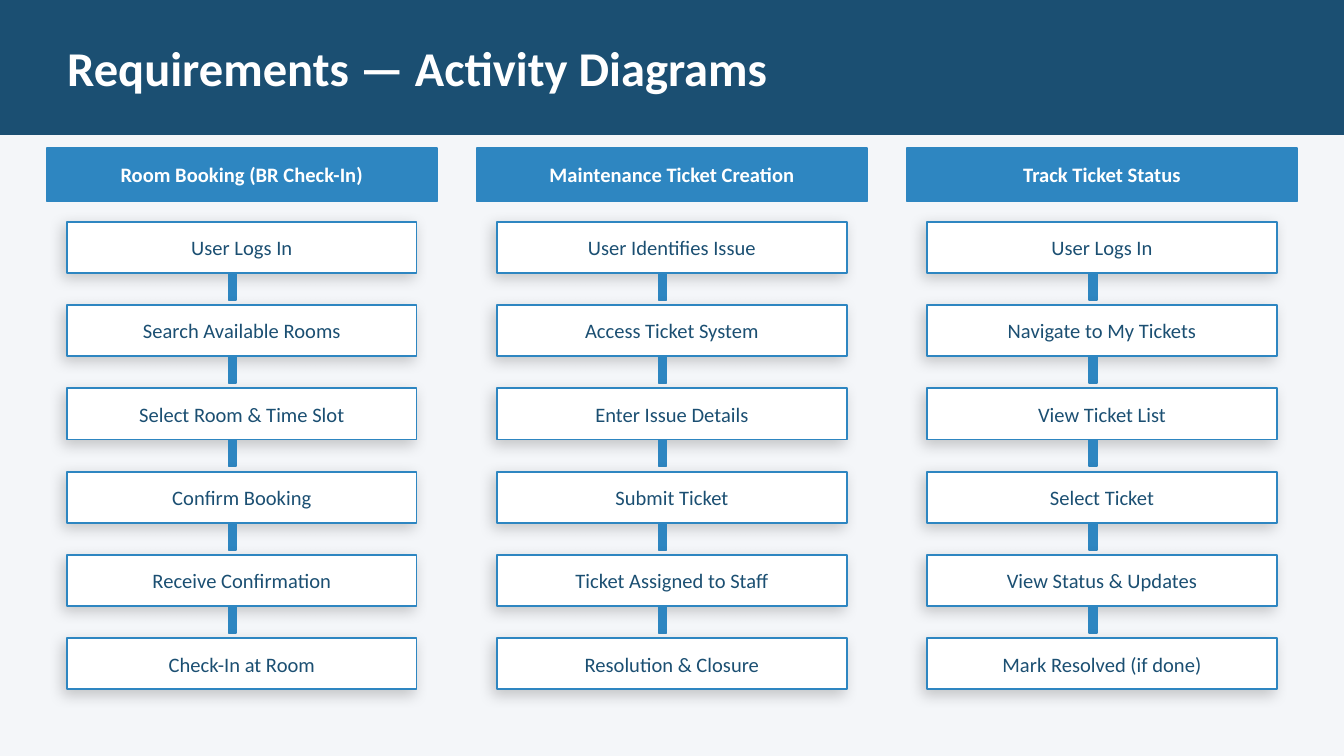
from lxml.etree import SubElement
from pptx import Presentation
from pptx.dml.color import RGBColor
from pptx.enum.shapes import MSO_SHAPE
from pptx.enum.text import MSO_ANCHOR, MSO_AUTO_SIZE, PP_ALIGN
from pptx.oxml.ns import qn
from pptx.util import Pt

NAVY = RGBColor(0x1B, 0x4F, 0x72)
BLUE = RGBColor(0x2E, 0x86, 0xC1)
WHITE = RGBColor(0xFF, 0xFF, 0xFF)
PALE = RGBColor(0xF4, 0xF6, 0xF9)

ACTIVITIES = [
    ("Room Booking (BR Check-In)",
     ["User Logs In", "Search Available Rooms", "Select Room & Time Slot",
      "Confirm Booking", "Receive Confirmation", "Check-In at Room"]),
    ("Maintenance Ticket Creation",
     ["User Identifies Issue", "Access Ticket System", "Enter Issue Details",
      "Submit Ticket", "Ticket Assigned to Staff", "Resolution & Closure"]),
    ("Track Ticket Status",
     ["User Logs In", "Navigate to My Tickets", "View Ticket List",
      "Select Ticket", "View Status & Updates", "Mark Resolved (if done)"]),
]


def write_text(shape, text, size, color, bold=False, align=PP_ALIGN.CENTER):
    """Write one vertically centred line into a shape without margins."""
    frame = shape.text_frame
    frame.word_wrap = True
    frame.auto_size = MSO_AUTO_SIZE.NONE
    frame.vertical_anchor = MSO_ANCHOR.MIDDLE
    frame.margin_left = frame.margin_right = 0
    frame.margin_top = frame.margin_bottom = 0
    para = frame.paragraphs[0]
    para.alignment = align
    span = para.add_run()
    span.text = text
    span.font.name = "Calibri"
    span.font.size = Pt(size)
    span.font.bold = bold
    span.font.color.rgb = color


def add_block(page, box, fill, line):
    """Add an outlined rectangle in a box of left, top, width, height in points."""
    block = page.shapes.add_shape(MSO_SHAPE.RECTANGLE, *map(Pt, box))
    block.shadow.inherit = False
    block.fill.solid()
    block.fill.fore_color.rgb = fill
    block.line.color.rgb = line
    block.line.width = Pt(1)
    return block


def add_soft_shadow(shape):
    """Give a shape a faint black shadow towards the lower left."""
    effects = shape.element.spPr.find(qn("a:effectLst"))
    shadow = SubElement(effects, qn("a:outerShdw"), blurRad=str(Pt(8)),
                        dist=str(Pt(3)), dir=str(135 * 60000),
                        algn="bl", rotWithShape="0")
    color = SubElement(shadow, qn("a:srgbClr"), val="000000")
    SubElement(color, qn("a:alpha"), val="20000")


def add_title_band(page, box, text):
    """Place the title placeholder over a dark band filling the box."""
    left, top, width, height = box
    title = page.shapes.title
    band = add_block(page, box, NAVY, NAVY)
    title.element.addprevious(band.element)
    title.left, title.top = Pt(left + 36), Pt(top + 10.8)
    title.width, title.height = Pt(width - 72), Pt(height - 21.6)
    write_text(title, text, 26, WHITE, bold=True, align=PP_ALIGN.LEFT)


def add_activity(page, box, heading, steps):
    """Stack a heading and its linked steps from top to bottom of the box."""
    left, top, width, height = box
    inset, step_height, first_top = 10.8, 27.36, top + 39.6
    pitch = (top + height - step_height - first_top) / (len(steps) - 1)
    header = add_block(page, (left, top, width, 28.8), BLUE, BLUE)
    write_text(header, heading, 11, WHITE, bold=True)
    for index, label in enumerate(steps):
        step_top = first_top + index * pitch
        step = add_block(page, (left + inset, step_top, width - 2 * inset, step_height),
                         WHITE, BLUE)
        add_soft_shadow(step)
        write_text(step, label, 11, NAVY)
        if index < len(steps) - 1:
            add_block(page, (left + 97.2, step_top + step_height, 4.32, 14.4), BLUE, BLUE)


def main():
    """Build and save the activity diagrams slide."""
    deck = Presentation()
    deck.slide_width, deck.slide_height = Pt(720), Pt(405)
    page = deck.slides.add_slide(deck.slide_layouts[5])
    page.background.fill.solid()
    page.background.fill.fore_color.rgb = PALE
    add_title_band(page, (0, 0, 720, 72), "Requirements — Activity Diagrams")
    for column, (heading, steps) in enumerate(ACTIVITIES):
        add_activity(page, (25.2 + column * 230.4, 79.2, 208.8, 290.16), heading, steps)
    deck.save("out.pptx")


if __name__ == "__main__":
    main()
